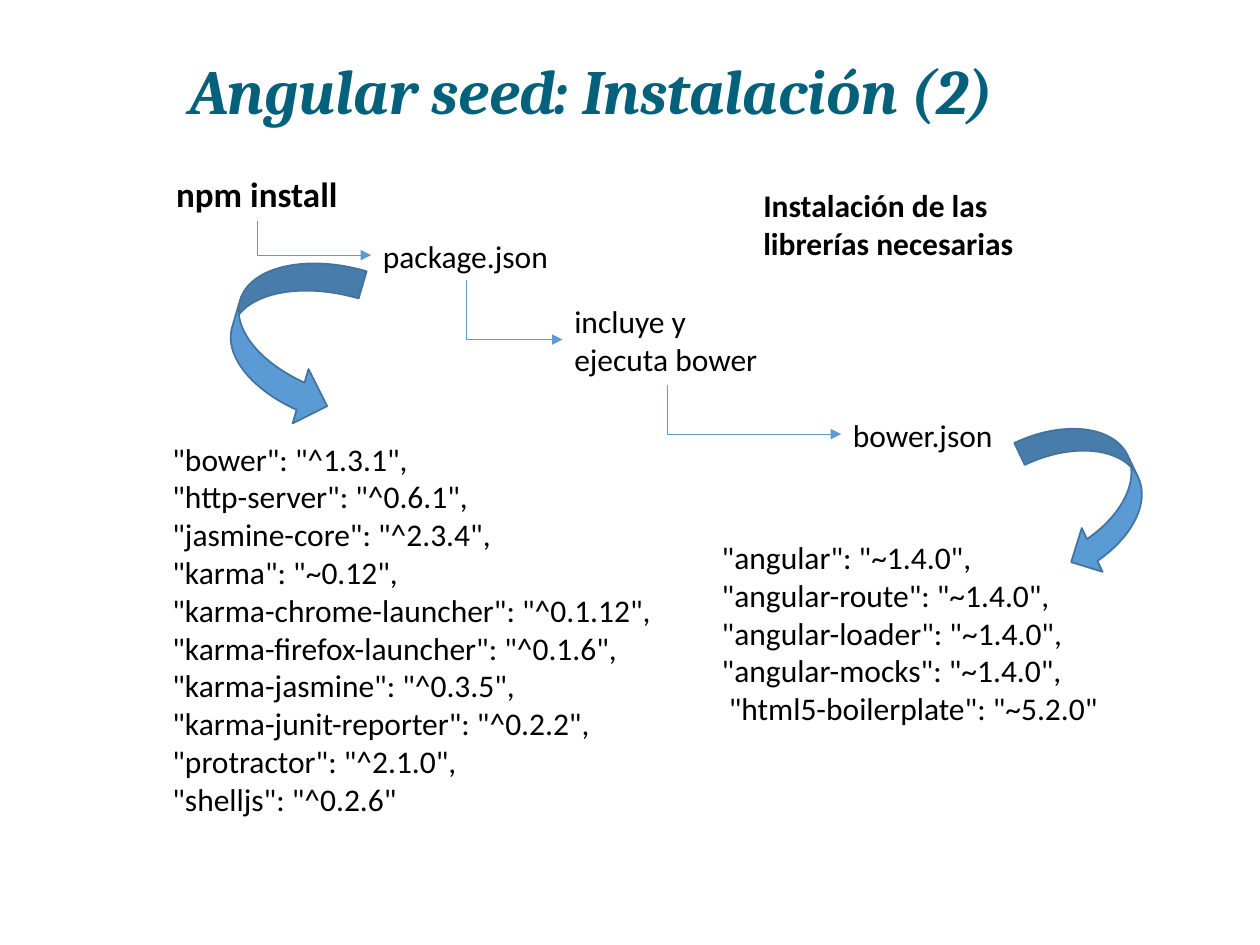
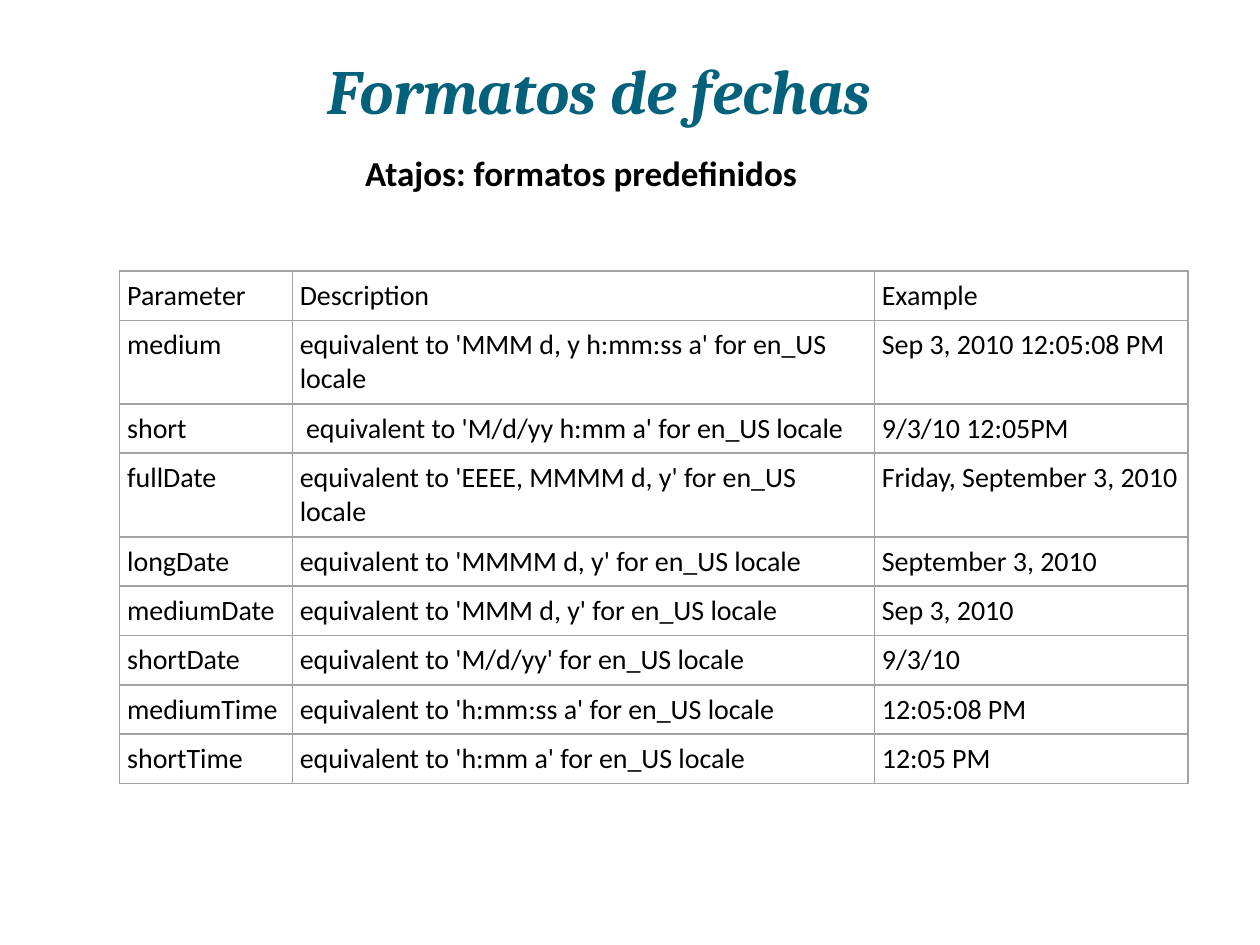
from itertools import pairwise

from lxml import etree
from pptx import Presentation
from pptx.dml.color import RGBColor
from pptx.enum.shapes import MSO_CONNECTOR, MSO_SHAPE
from pptx.enum.text import MSO_ANCHOR, PP_ALIGN
from pptx.oxml.ns import qn
from pptx.util import Pt

PX = 9144
COLORS = {"title": "04617B", "text": "000000", "accent": "5B9BD5",
          "outline": "43739E", "grid": "A3A3A3"}
TITLE_FONT, BODY_FONT = "Cambria", "Calibri"

STEPS = [
    ("npm install", (0, 0, 149, 44), 20, True),
    ("package.json", (164, 51, 152, 40), 18, False),
    ("incluye y ejecuta bower", (316, 103, 166, 71), 18, False),
    ("bower.json", (537, 193, 132, 40), 18, False),
]
NPM_PACKAGES = [
    '"bower": "^1.3.1",', '"http-server": "^0.6.1",',
    '"jasmine-core": "^2.3.4",', '"karma": "~0.12",',
    '"karma-chrome-launcher": "^0.1.12",',
    '"karma-firefox-launcher": "^0.1.6",',
    '"karma-jasmine": "^0.3.5",', '"karma-junit-reporter": "^0.2.2",',
    '"protractor": "^2.1.0",', '"shelljs": "^0.2.6"',
]
BOWER_PACKAGES = [
    '"angular": "~1.4.0",', '"angular-route": "~1.4.0",',
    '"angular-loader": "~1.4.0",', '"angular-mocks": "~1.4.0",',
    ' "html5-boilerplate": "~5.2.0"',
]
DATE_FORMATS = [
    ("Parameter", "Description", "Example"),
    ("medium", "equivalent to 'MMM d, y h:mm:ss a' for en_US locale",
     "Sep 3, 2010 12:05:08 PM"),
    ("short", " equivalent to 'M/d/yy h:mm a' for en_US locale",
     "9/3/10 12:05PM"),
    ("fullDate", "equivalent to 'EEEE, MMMM d, y' for en_US locale",
     "Friday, September 3, 2010"),
    ("longDate", "equivalent to 'MMMM d, y' for en_US locale",
     "September 3, 2010"),
    ("mediumDate", "equivalent to 'MMM d, y' for en_US locale",
     "Sep 3, 2010"),
    ("shortDate", "equivalent to 'M/d/yy' for en_US locale", "9/3/10"),
    ("mediumTime", "equivalent to 'h:mm:ss a' for en_US locale",
     "12:05:08 PM"),
    ("shortTime", "equivalent to 'h:mm a' for en_US locale", "12:05 PM"),
]
TWO_LINE_ROWS = {"medium", "fullDate"}


def rgb(name):
    """Return the named palette colour."""
    return RGBColor.from_string(COLORS[name])


def emu(*lengths):
    """Turn px lengths into EMU."""
    return [n * PX for n in lengths]


def inside(box, part):
    """Move a part's box from the corner of its region to the slide."""
    return (box[0] + part[0], box[1] + part[1], *part[2:])


def add_run(p, text, size, bold=False, italic=False, font=BODY_FONT,
            color="text"):
    """Append one formatted run to a paragraph."""
    r = p.add_run()
    r.text = text
    r.font.name, r.font.size = font, Pt(size)
    r.font.bold, r.font.italic = bold, italic
    r.font.color.rgb = rgb(color)


def add_text(s, box, lines, size=18, bold=False, wrap=True):
    """Add a text box with one paragraph per line."""
    tf = s.shapes.add_textbox(*emu(*box)).text_frame
    tf.word_wrap = wrap
    for i, line in enumerate(lines):
        p = tf.add_paragraph() if i else tf.paragraphs[0]
        add_run(p, line, size, bold)


def add_titled_slide(prs, title, width):
    """Add a title-only slide and format its title."""
    s = prs.slides.add_slide(prs.slide_layouts[5])
    sp = s.shapes.title
    sp.left, sp.top, sp.width, sp.height = emu(69, 40, width, 70)
    tf = sp.text_frame
    tf.vertical_anchor = MSO_ANCHOR.MIDDLE
    p = tf.paragraphs[0]
    p.alignment, p.line_spacing = PP_ALIGN.CENTER, 0.9
    add_run(p, title, 36, True, True, TITLE_FONT, "title")
    return s


def add_step_arrow(s, source, target):
    """Draw an arrow down from one step and right into the next."""
    x1, y1 = source[0] + source[2] // 2, source[1] + source[3]
    x2, y2 = target[0], target[1] + target[3] // 2
    cx, cy = (x1 + x2) // 2, (y1 + y2) // 2
    drop, reach = y2 - y1, x2 - x1
    left, top = cx - drop // 2, cy - reach // 2
    c = s.shapes.add_connector(
        MSO_CONNECTOR.ELBOW, *emu(left + drop, top, left, top + reach))
    c.line.color.rgb, c.line.width = rgb("accent"), Pt(0.5)
    pr = c._element.spPr
    pr.find(qn("a:xfrm")).set("rot", "16200000")
    pr.find(qn("a:prstGeom")).set("prst", "bentConnector2")
    etree.SubElement(pr.find(qn("a:ln")), qn("a:tailEnd"), type="triangle")
    etree.SubElement(pr, qn("a:effectLst"))


def add_steps(s, box):
    """Place the installation steps and the arrows that chain them."""
    places = [inside(box, part) for _, part, _, _ in STEPS]
    for (text, _, size, bold), place in zip(STEPS, places):
        add_text(s, place, [text], size, bold, wrap=" y " in text)
    for source, target in pairwise(places):
        add_step_arrow(s, source, target)


def add_packages(s, box, lines, kind, arrow, angle):
    """Place a package list and the curved arrow that leads to it."""
    add_text(s, box, lines)
    sp = s.shapes.add_shape(kind, *emu(*inside(box, arrow)))
    sp.rotation = angle
    sp.shadow.inherit = False
    sp.fill.solid()
    sp.fill.fore_color.rgb = rgb("accent")
    sp.line.color.rgb, sp.line.width = rgb("outline"), Pt(1)


def add_borders(cell):
    """Draw a thin grey line on all four sides of a cell."""
    pr = cell._tc.get_or_add_tcPr()
    for i, side in enumerate(("lnL", "lnR", "lnT", "lnB")):
        ln = etree.Element(qn(f"a:{side}"), w=str(Pt(1)))
        fill = etree.SubElement(ln, qn("a:solidFill"))
        etree.SubElement(fill, qn("a:srgbClr"), val=COLORS["grid"])
        pr.insert(i, ln)


def add_formats_table(s, box):
    """Place the table of predefined date formats."""
    widths = (137, 462, box[2] - 137 - 462)
    table = s.shapes.add_table(
        len(DATE_FORMATS), len(widths), *emu(*box)).table
    table.first_row = table.horz_banding = False
    for col, width in zip(table.columns, widths):
        col.width = width * PX
    for row, texts in zip(table.rows, DATE_FORMATS):
        row.height = (65 if texts[0] in TWO_LINE_ROWS else 38) * PX
        for cell, text in zip(row.cells, texts):
            cell.margin_left = cell.margin_right = 6 * PX
            cell.margin_top = cell.margin_bottom = 6 * PX
            cell.fill.background()
            add_borders(cell)
            add_run(cell.text_frame.paragraphs[0], text, 16)


def build_install_slide(prs):
    """Build the slide on installing the libraries."""
    s = add_titled_slide(prs, "Angular seed: Instalación (2)", 801)
    add_text(s, (596, 143, 226, 71),
             ["Instalación de las librerías necesarias"], bold=True)
    add_steps(s, (130, 132))
    add_packages(s, (563, 422, 344, 162), BOWER_PACKAGES,
                 MSO_SHAPE.CURVED_LEFT_ARROW, (265, -93, 77, 124), 334.5)
    add_packages(s, (127, 344, 450, 313), NPM_PACKAGES,
                 MSO_SHAPE.CURVED_RIGHT_ARROW, (57, -144, 90, 134), 16.3)


def build_formats_slide(prs):
    """Build the slide on date formats."""
    s = add_titled_slide(prs, "Formatos de fechas", 813)
    add_formats_table(s, (95, 215, 848, 393))
    add_text(s, (280, 115, 366, 44), ["Atajos: formatos predefinidos"],
             20, True, wrap=False)


def main():
    """Build and save the presentation."""
    prs = Presentation()
    prs.slide_width, prs.slide_height = emu(1000, 750)
    build_install_slide(prs)
    build_formats_slide(prs)
    prs.save("out.pptx")


if __name__ == "__main__":
    main()
